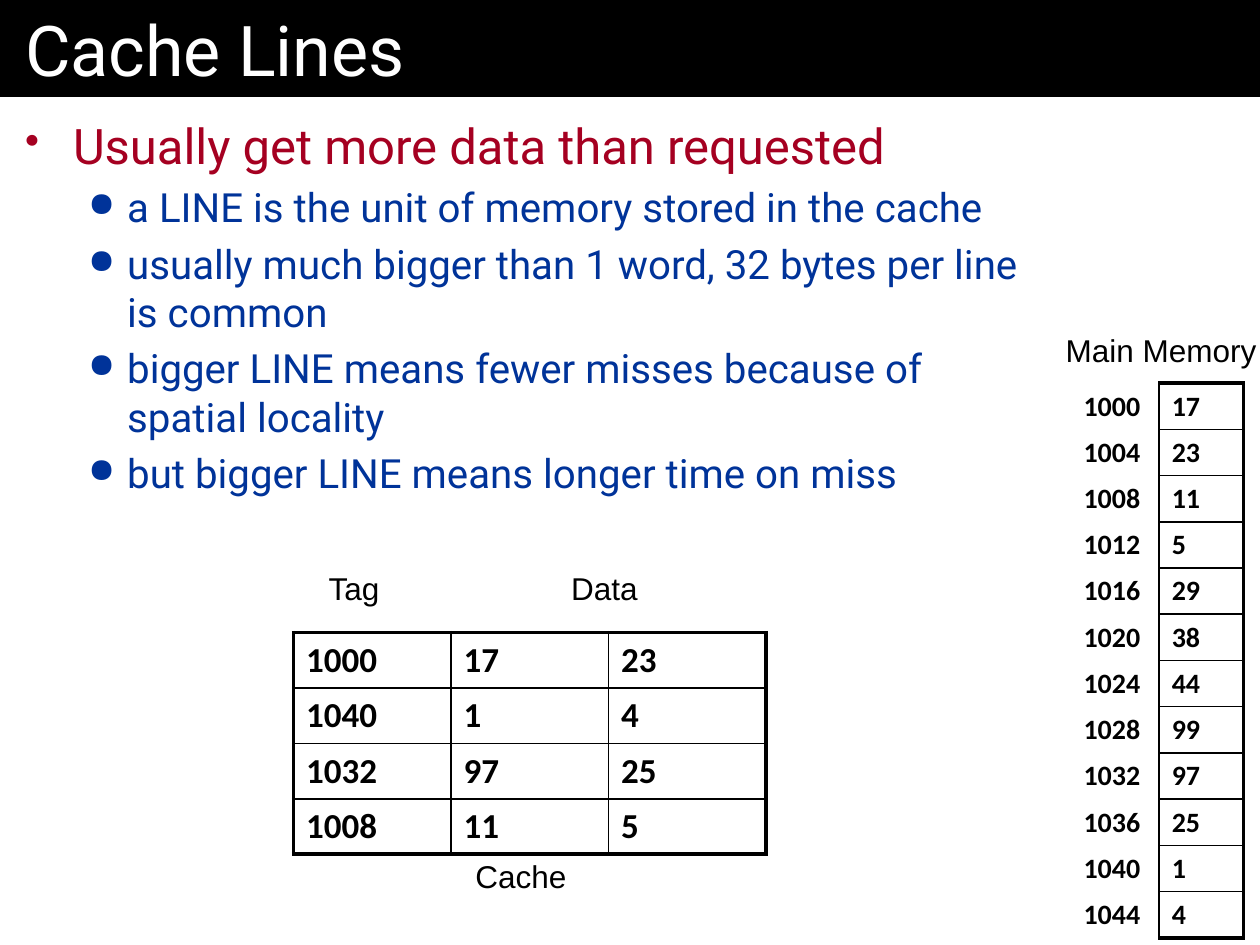
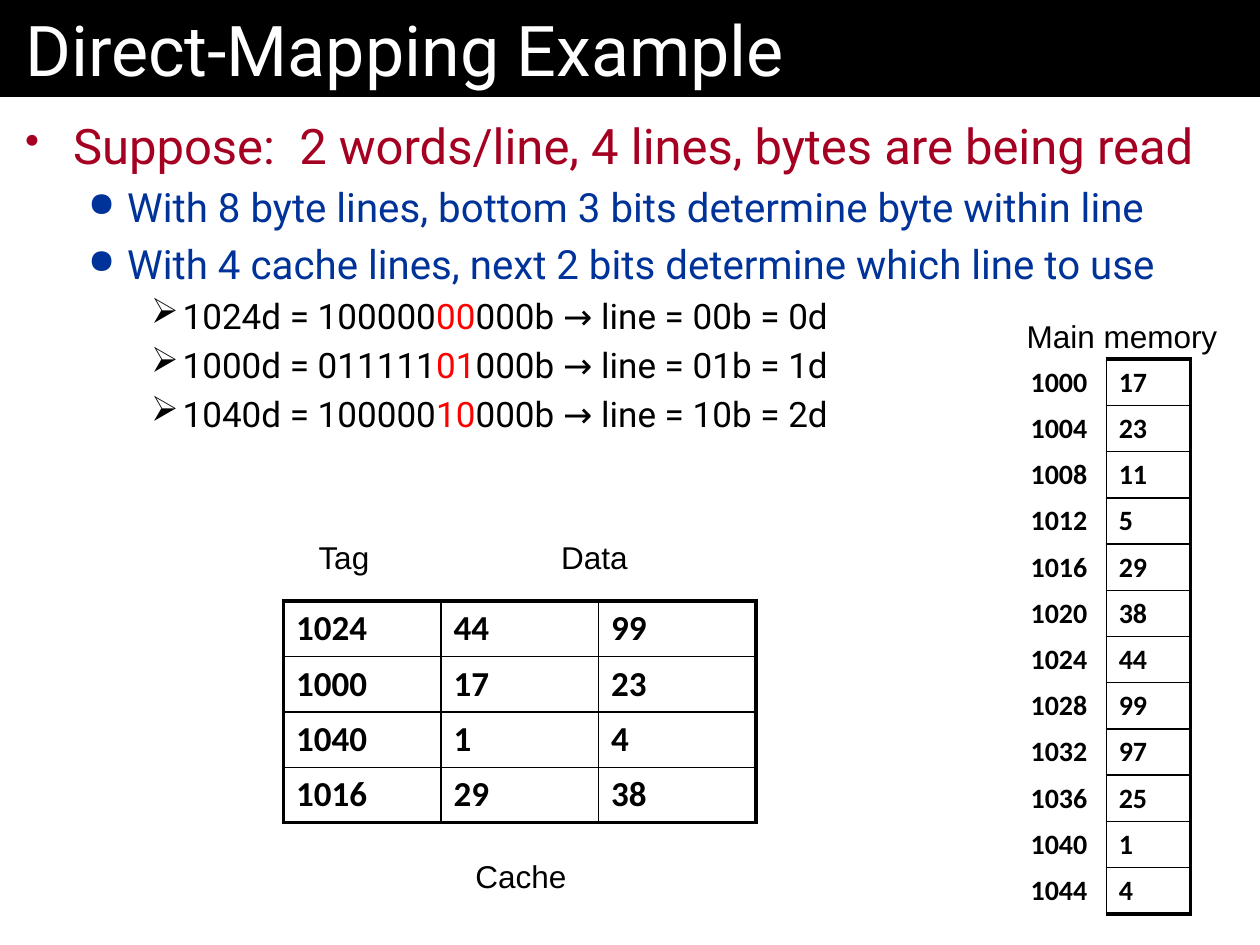
from pptx import Presentation
from pptx.dml.color import RGBColor
from pptx.enum.shapes import MSO_SHAPE
from pptx.enum.text import MSO_ANCHOR, PP_ALIGN
from pptx.oxml.ns import qn
from pptx.util import Inches, Pt
from lxml.etree import SubElement

BLACK, WHITE, RED = "000000", "FFFFFF", "FF0000"
BODY, LABEL, DATA = "Roboto", "Arial", "Calibri"
PLAIN = "{2D5ABB26-0587-4C30-8999-92F81FD0307C}"
THIN, THICK = 1, 2.25
LEVELS = [
    dict(size=28, color="A50021", bullet="•", ratio=85, left=0.38, hang=0.38),
    dict(size=23, color="003399", bullet="●", ratio=85, left=0.81, hang=0.31),
    dict(size=20, color=BLACK, bullet="➢", ratio=100, left=1.25, hang=0.25),
]
MEMORY = [17, 23, 11, 5, 29, 38, 44, 99, 97, 25, 1, 4]
WORDS = [(1000 + 4 * i, word) for i, word in enumerate(MEMORY)]

SLIDES = [
    dict(
        title="Cache Lines", width=8.5,
        body=[
            (0, "Usually get more data than requested"),
            (1, "a LINE is the unit of memory stored in the cache"),
            (1, "usually much bigger than 1 word, 32 bytes per line is common"),
            (1, "bigger LINE means fewer misses because of spatial locality"),
            (1, "but bigger LINE means longer time on miss"),
        ],
        cache=[(1000, 17, 23), (1040, 1, 4), (1032, 97, 25), (1008, 11, 5)],
        grid=(2.33, 5.02), store=(8.5, 3.04),
        name="Main Memory", head=(8.35, 2.58),
    ),
    dict(
        title="Direct-Mapping Example", width=10,
        body=[
            (0, "Suppose:  2 words/line, 4 lines, bytes are being read"),
            (1, "With 8 byte lines, bottom 3 bits determine byte within line"),
            (1, "With 4 cache lines, next 2 bits determine which line to use"),
            (2, "1024d = 100000|00|000b → line = 00b = 0d"),
            (2, "1000d = 011111|01|000b → line = 01b = 1d"),
            (2, "1040d = 100000|10|000b → line = 10b = 2d"),
        ],
        cache=[(1024, 44, 99), (1000, 17, 23), (1040, 1, 4), (1016, 29, 38)],
        grid=(2.25, 4.77), store=(8.08, 2.85),
        name="Main memory", head=(8.04, 2.47),
    ),
]


def rgb(code):
    return RGBColor.from_string(code)


def write(frame, text, size=18, font=LABEL, color=BLACK, bold=False,
          align=PP_ALIGN.LEFT, before=20, bullet=None, ratio=100, left=0, hang=0):
    para = frame.paragraphs[0]
    if para.runs:
        para = frame.add_paragraph()
    para.alignment = align
    props = para._p.get_or_add_pPr()
    space = SubElement(props, qn("a:spcBef"))
    SubElement(space, qn("a:spcPct"), val=str(before * 1000))
    if bullet:
        props.set("marL", str(Inches(left)))
        props.set("indent", str(-Inches(hang)))
        tint = SubElement(props, qn("a:buClr"))
        SubElement(tint, qn("a:srgbClr"), val=color)
        SubElement(props, qn("a:buSzPct"), val=str(ratio * 1000))
        SubElement(props, qn("a:buChar"), char=bullet)
    for i, part in enumerate(text.split("|")):
        run = para.add_run()
        run.text = part
        run.font.size = Pt(size)
        run.font.name = font
        run.font.bold = bold
        run.font.color.rgb = rgb(RED if i % 2 else color)


deck = Presentation()
deck.slide_width, deck.slide_height = Inches(10), Inches(7.5)

for page in SLIDES:
    slide = deck.slides.add_slide(deck.slide_layouts[6])
    shapes = slide.shapes

    band = shapes.add_shape(MSO_SHAPE.RECTANGLE, 0, 0, Inches(10), Inches(0.77))
    band.shadow.inherit = False
    band.fill.solid()
    band.fill.fore_color.rgb = rgb(BLACK)
    band.line.fill.background()
    frame = band.text_frame
    frame.margin_left = frame.margin_right = Inches(0.2)
    frame.vertical_anchor = MSO_ANCHOR.MIDDLE
    write(frame, page["title"], size=40, font=BODY, color=WHITE, before=0)

    box = shapes.add_textbox(0, Inches(0.77), Inches(page["width"]), Inches(6.73))
    frame = box.text_frame
    frame.word_wrap = True
    frame.margin_left = frame.margin_right = Inches(0.2)
    frame.margin_top = frame.margin_bottom = Inches(0.15)
    for level, text in page["body"]:
        write(frame, text, font=BODY, **LEVELS[level])

    x, y = page["grid"]
    tables = [
        (page["cache"], page["grid"], [1.25] * 3, 0.44, 20, 0),
        (WORDS, page["store"], [0.7, 0.67], 4.4 / 12, 16, 1),
    ]
    for rows, (left, top), widths, high, size, start in tables:
        last, end = len(rows) - 1, len(widths) - 1
        item = shapes.add_table(len(rows), len(widths), Inches(left), Inches(top),
                                Inches(sum(widths)), Inches(high * len(rows)))
        table = item.table
        table.first_row = table.horz_banding = False
        table._tbl.tblPr.find(qn("a:tableStyleId")).text = PLAIN
        for col, width in zip(table.columns, widths):
            col.width = Inches(width)
        for r, row in enumerate(rows):
            table.rows[r].height = Inches(high)
            for c, value in enumerate(row):
                cell = table.cell(r, c)
                write(cell.text_frame, str(value), size=size, font=DATA, bold=True)
                if c >= start:
                    edges = [("L", c == 0), ("R", c == end),
                             ("T", r == 0), ("B", r == last)]
                    for side, outer in edges:
                        weight = Pt(THICK if outer else THIN)
                        line = SubElement(cell._tc.get_or_add_tcPr(),
                                          qn("a:ln" + side), w=str(weight))
                        paint = SubElement(line, qn("a:solidFill"))
                        SubElement(paint, qn("a:srgbClr"), val=BLACK)
                cell.fill.background()

    labels = [
        ("Tag", x + 0.15, y - 0.55, 0.63, PP_ALIGN.RIGHT),
        ("Data", x + 2.1, y - 0.55, 0.73, PP_ALIGN.RIGHT),
        (page["name"], *page["head"], 1.73, PP_ALIGN.CENTER),
        ("Cache", 3.67, 6.75, 0.93, PP_ALIGN.CENTER),
    ]
    for text, left, top, width, align in labels:
        box = shapes.add_textbox(Inches(left), Inches(top), Inches(width), Inches(0.4))
        box.text_frame.word_wrap = False
        write(box.text_frame, text, align=align)

deck.save("out.pptx")
